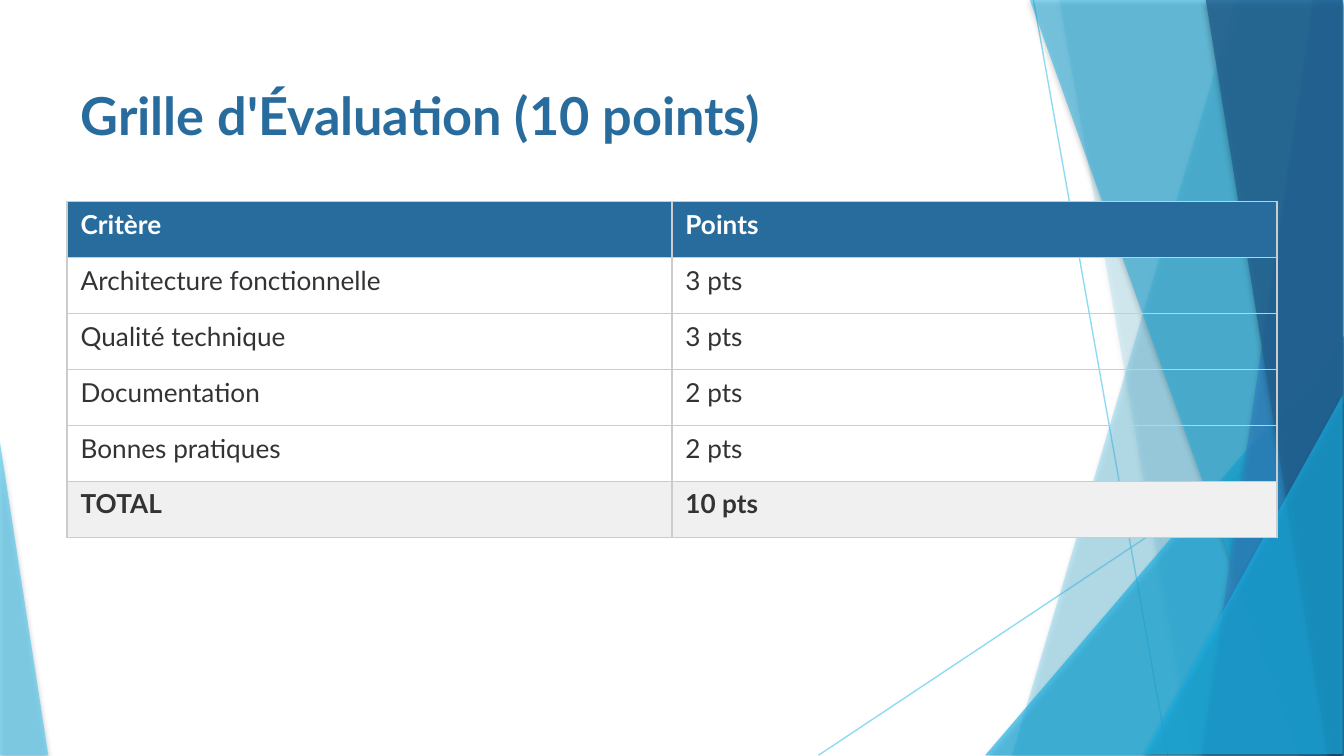
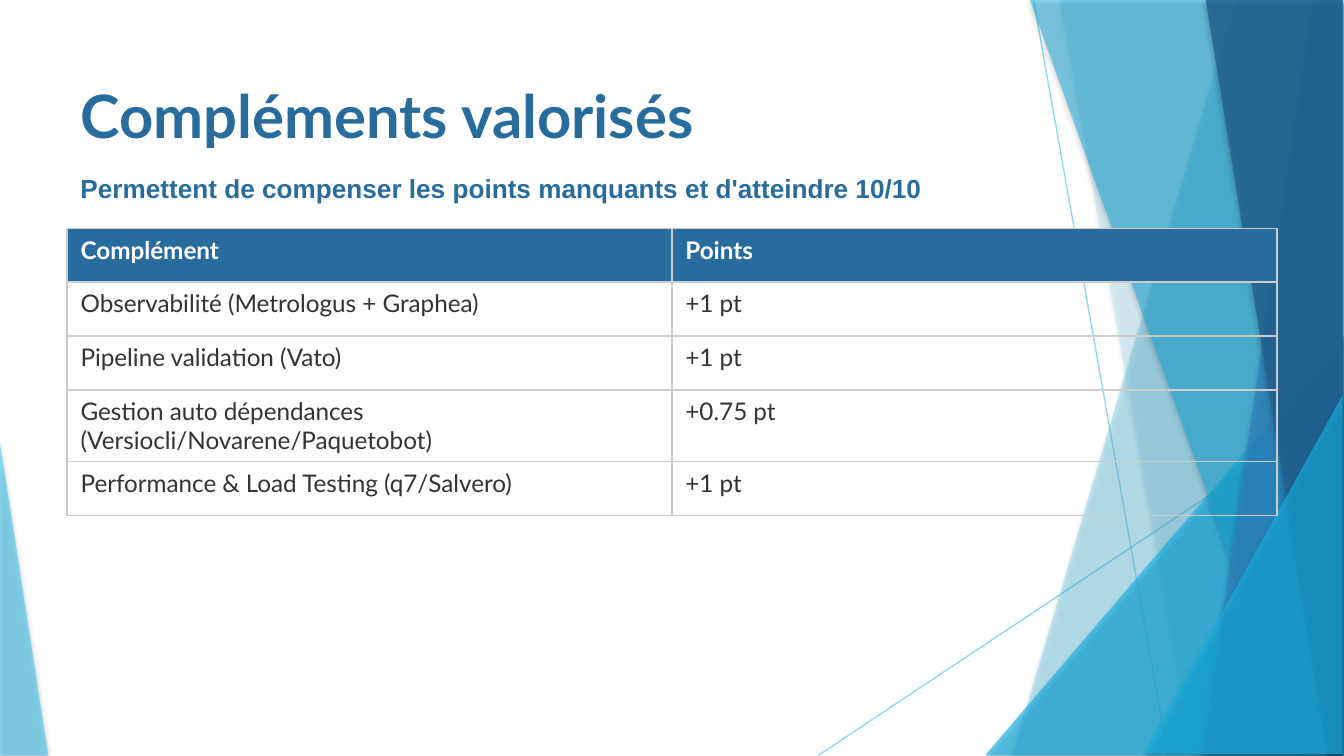
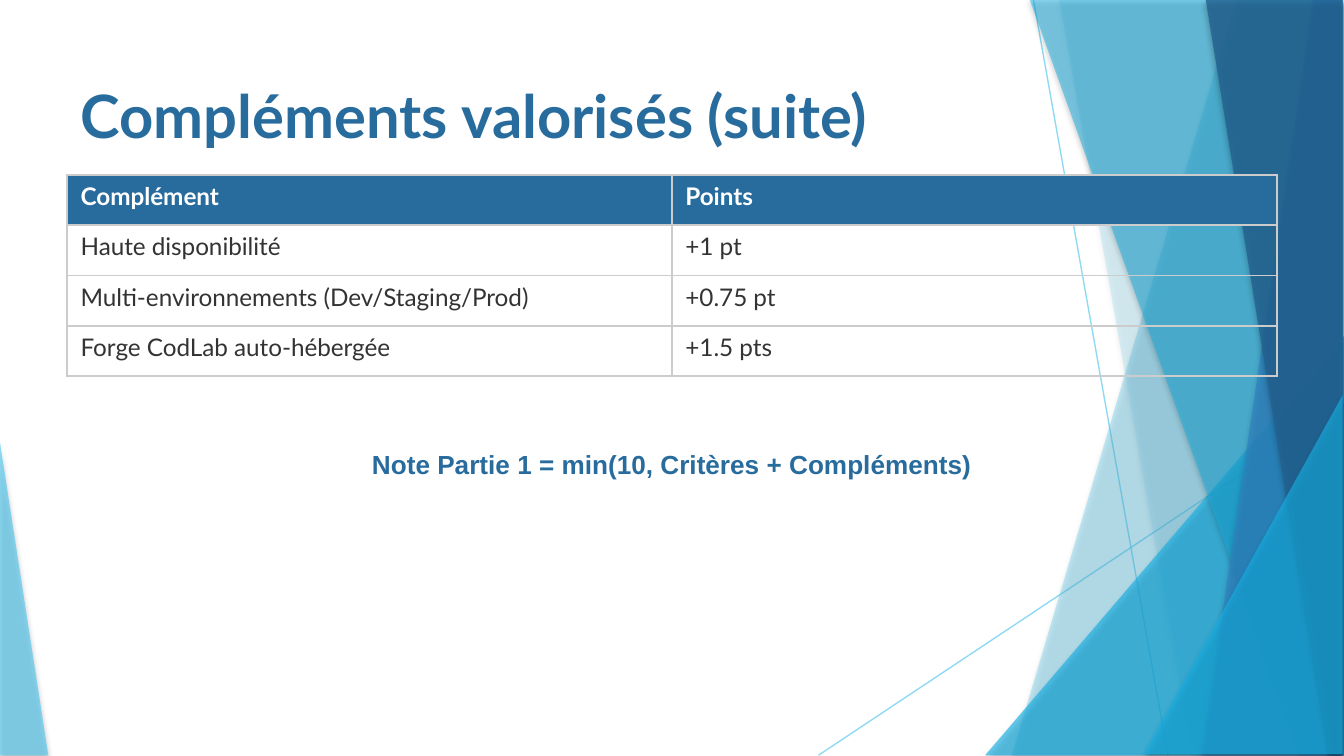
from lxml import etree
from pptx import Presentation
from pptx import util as u
from pptx.dml.color import RGBColor
from pptx.enum import shapes, text
from pptx.oxml import ns

BLUE, INK, WHITE, GREY, RULE = "286C9E", "333333", "FFFFFF", "F0F0F0", "CCCCCC"
SKY, CYAN, AZURE, NAVY = "5FCBEF", "17B0E4", "2E83C3", "226292"
TOP, BOTTOM, RIGHT = -0.01, 5.62, 9.99
LEFT, WIDTH = 0.5, 9

RAYS = [((7.69, 0), (8.69, BOTTOM)), ((10, 3.02), (6.09, BOTTOM))]
# Each band: x at the top, x at the bottom, colour, opacity.
BACK_BANDS = [(9.2, 7.53, SKY, 36), (7.88, 8.87, SKY, 20)]
FRONT_BANDS = [(7.66, 9.68, CYAN, 50), (9.77, 8.94, AZURE, 70), (8.97, 9.88, NAVY, 80)]


def rgb(value):
    return RGBColor.from_string(value)


def assign(target, values):
    for key, value in values.items():
        setattr(target, key, value)


def child(parent, tag, **attributes):
    return etree.SubElement(parent, ns.qn(tag), {k: str(v) for k, v in attributes.items()})


class Deck:
    """Holds the shared style and the current slide, and draws each kind of element."""

    def __init__(self):
        self.prs = Presentation()
        assign(self.prs, {"slide_width": u.Inches(10), "slide_height": u.Inches(5.625)})
        self.layout = self.prs.slide_layouts[5]
        self.slide = None

    def add_slide(self, title, size):
        self.slide = self.prs.slides.add_slide(self.layout)
        heading = self.slide.shapes.title
        self.place(heading, 0.5, 0.7)
        self.put_text(heading.text_frame, title, size, BLUE, bold=True)

    def place(self, box, top, height):
        assign(box, {"left": u.Inches(LEFT), "top": u.Inches(top),
                     "width": u.Inches(WIDTH), "height": u.Inches(height)})

    def put_text(self, frame, words, size, color, bold=False, font="Lato",
                 align=text.PP_ALIGN.LEFT, anchor=text.MSO_ANCHOR.MIDDLE):
        assign(frame, {"word_wrap": True, "vertical_anchor": anchor})
        paragraph = frame.paragraphs[0]
        paragraph.alignment = align
        run = paragraph.add_run()
        run.text = words
        assign(run.font, {"name": font, "size": u.Pt(size), "bold": bold})
        run.font.color.rgb = rgb(color)

    def remark(self, words, top, height, align=text.PP_ALIGN.LEFT):
        box = self.slide.shapes.add_textbox(0, 0, 0, 0)
        self.place(box, top, height)
        self.put_text(box.text_frame, words, 14, BLUE, True, "Arial", align)

    def table(self, rows, top, height, size, total=False):
        frame = self.slide.shapes.add_table(
            len(rows), 2, u.Inches(LEFT), u.Inches(top), u.Inches(WIDTH), u.Inches(height))
        grid = frame.table
        assign(grid, {"first_row": False, "horz_banding": False})
        for r, row in enumerate(rows):
            is_header, is_total = r == 0, total and r == len(rows) - 1
            fill = BLUE if is_header else GREY if is_total else None
            for c, words in enumerate(row):
                cell = grid.cell(r, c)
                cell.vertical_anchor = text.MSO_ANCHOR.TOP
                self.put_text(cell.text_frame, words, size, WHITE if is_header else INK,
                              is_header or is_total, anchor=text.MSO_ANCHOR.TOP)
                self.border(cell)
                if fill:
                    cell.fill.solid()
                    cell.fill.fore_color.rgb = rgb(fill)
                else:
                    cell.fill.background()

    def border(self, cell):
        properties = cell._tc.get_or_add_tcPr()
        for side in "LRTB":
            line = child(properties, f"a:ln{side}", w=u.Pt(1))
            child(child(line, "a:solidFill"), "a:srgbClr", val=RULE)

    def to_layout(self, shape):
        self.layout.shapes.element.append(shape.element)

    def fade(self, shape, opacity):
        color = next(shape.element.spPr.iter(ns.qn("a:srgbClr")))
        child(color, "a:alpha", val=opacity * 1000)

    def ray(self, start, end):
        points = [u.Inches(v) for v in (*start, *end)]
        line = self.slide.shapes.add_connector(shapes.MSO_CONNECTOR.STRAIGHT, *points)
        line.line.width = u.Pt(0.75)
        line.line.color.rgb = rgb(SKY)
        child(line.element.spPr, "a:effectLst")
        self.fade(line, 70)
        self.to_layout(line)

    def facet(self, shape, color, opacity):
        shape.fill.solid()
        shape.fill.fore_color.rgb = rgb(color)
        shape.line.fill.background()
        self.fade(shape, opacity)
        shape.shadow.inherit = False
        effects = shape.element.spPr.find(ns.qn("a:effectLst"))
        shadow = child(effects, "a:outerShdw", blurRad=u.Pt(3), dist=u.Pt(2),
                       dir=5400000, rotWithShape=0)
        child(child(shadow, "a:srgbClr", val="000000"), "a:alpha", val=35000)
        self.to_layout(shape)

    def band(self, top_x, bottom_x, color, opacity):
        corners = [(RIGHT, TOP), (RIGHT, BOTTOM), (bottom_x, BOTTOM)]
        outline = self.slide.shapes.build_freeform(u.Inches(top_x), u.Inches(TOP))
        outline.add_line_segments([(u.Inches(x), u.Inches(y)) for x, y in corners], close=True)
        self.facet(outline.convert_to_shape(), color, opacity)

    def peak(self, left, top, width, height, apex, color, opacity):
        triangle = self.slide.shapes.add_shape(
            shapes.MSO_SHAPE.ISOSCELES_TRIANGLE,
            *(u.Inches(v) for v in (left, top, width, height)))
        triangle.adjustments[0] = apex
        self.facet(triangle, color, opacity)

    def backdrop(self):
        for start, end in RAYS:
            self.ray(start, end)
        for band in BACK_BANDS:
            self.band(*band)
        self.peak(7.33, 2.5, 2.67, 3.12, 1, CYAN, 66)
        for band in FRONT_BANDS:
            self.band(*band)
        self.peak(8.51, 2.94, 1.48, 2.67, 1, CYAN, 66)
        self.peak(0, 3.29, 0.36, 2.33, 0, SKY, 70)


def main():
    deck = Deck()
    deck.add_slide("Grille d'Évaluation (10 points)", 28)
    deck.backdrop()
    deck.table([
        ("Critère", "Points"),
        ("Architecture fonctionnelle", "3 pts"),
        ("Qualité technique", "3 pts"),
        ("Documentation", "2 pts"),
        ("Bonnes pratiques", "2 pts"),
        ("TOTAL", "10 pts"),
    ], 1.5, 2.5, 14, total=True)

    deck.add_slide("Compléments valorisés", 32)
    deck.remark("Permettent de compenser les points manquants et d'atteindre 10/10", 1.2, 0.4)
    deck.table([
        ("Complément", "Points"),
        ("Observabilité (Metrologus + Graphea)", "+1 pt"),
        ("Pipeline validation (Vato)", "+1 pt"),
        ("Gestion auto dépendances (Versiocli/Novarene/Paquetobot)", "+0.75 pt"),
        ("Performance & Load Testing (q7/Salvero)", "+1 pt"),
    ], 1.7, 2, 13)

    deck.add_slide("Compléments valorisés (suite)", 32)
    deck.table([
        ("Complément", "Points"),
        ("Haute disponibilité", "+1 pt"),
        ("Multi-environnements (Dev/Staging/Prod)", "+0.75 pt"),
        ("Forge CodLab auto-hébergée", "+1.5 pts"),
    ], 1.3, 1.5, 13)
    deck.remark("Note Partie 1 = min(10, Critères + Compléments)", 3.2, 0.5, text.PP_ALIGN.CENTER)
    deck.prs.save("out.pptx")


if __name__ == "__main__":
    main()
